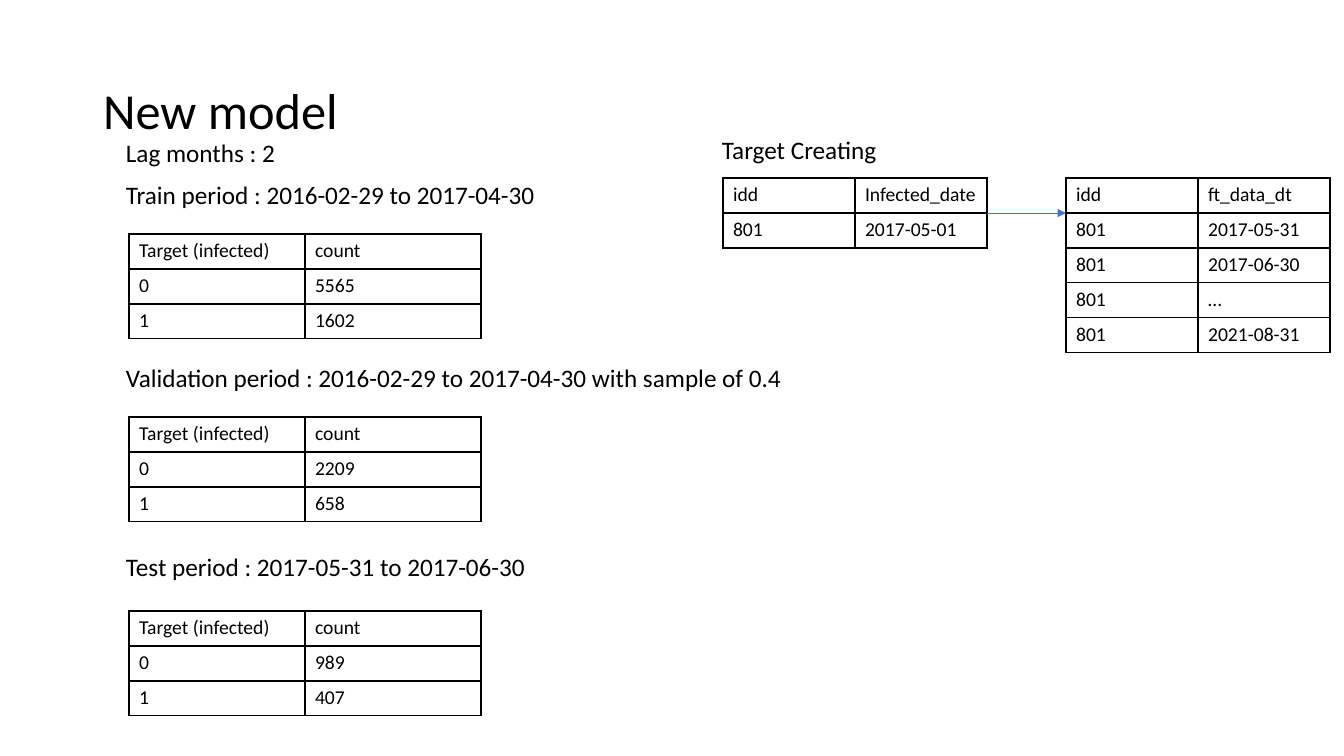
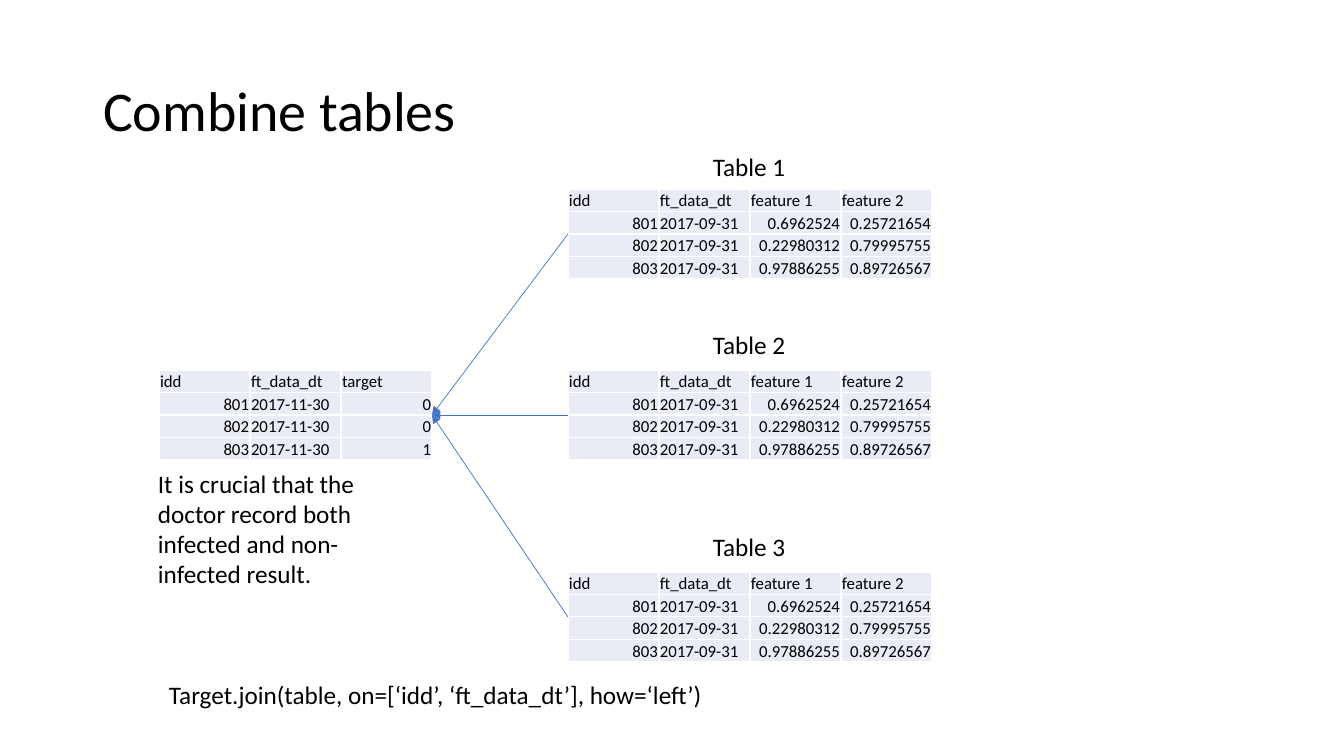
from lxml.etree import SubElement
from pptx import Presentation
from pptx.dml.color import RGBColor
from pptx.enum.shapes import MSO_CONNECTOR as Connector
from pptx.enum.text import MSO_ANCHOR as Anchor, MSO_AUTO_SIZE as AutoSize, PP_ALIGN as Align
from pptx.oxml import parse_xml
from pptx.oxml.ns import nsdecls, qn
from pptx.util import Pt

EMU_PER_PX = 914400 / 100.8
PAGE_SIZE = (1344, 756)
TITLE_BOX = (93, 40, 1159, 146)
TITLE_ONLY = 5
LEFT_SIDE, RIGHT_SIDE = 1, 3
FONT = "Calibri"
BLACK, WHITE, BLUE, PALE = "000000", "FFFFFF", "4472C4", "E9EBF5"


def px(length):
    return round(length * EMU_PER_PX)


def color(hex_code):
    return RGBColor.from_string(hex_code)


def write(frame, text, size=18, align=Align.LEFT, anchor=Anchor.TOP, spacing=None):
    frame.vertical_anchor = anchor
    para = frame.paragraphs[0]
    para.alignment = align
    if spacing:
        para.line_spacing = spacing
    span = para.add_run()
    span.text = text
    span.font.name = FONT
    span.font.size = Pt(size)
    span.font.color.rgb = color(BLACK)


def title_page(deck, text, size):
    page = deck.slides.add_slide(deck.slide_layouts[TITLE_ONLY])
    title = page.shapes.title
    title.left, title.top, title.width, title.height = map(px, TITLE_BOX)
    title.text_frame.auto_size = AutoSize.NONE
    write(title.text_frame, text, size, anchor=Anchor.MIDDLE, spacing=0.9)
    return page


def label(page, box, text, wrap=False):
    frame = page.shapes.add_textbox(*map(px, box)).text_frame
    frame.word_wrap = wrap
    write(frame, text)


def set_borders(cell, hex_code):
    properties = cell._tc.get_or_add_tcPr()
    for index, side in enumerate(("lnL", "lnR", "lnT", "lnB")):
        properties.insert(index, parse_xml(
            f'<a:{side} {nsdecls("a")} w="{Pt(1)}"><a:solidFill>'
            f'<a:srgbClr val="{hex_code}"/></a:solidFill></a:{side}>'))


def grid(page, box, rows, border, format_cell):
    """Add an evenly divided table; format_cell fills in each cell's look and text."""
    x, y, width, height = box
    holder = page.shapes.add_table(len(rows), len(rows[0]), *map(px, box))
    table = holder.table
    table.first_row = table.horz_banding = False
    for column in table.columns:
        column.width = px(width / len(rows[0]))
    for row, values in zip(table.rows, rows):
        row.height = px(height / len(rows))
        for cell, value in zip(row.cells, values):
            format_cell(cell, value)
            set_borders(cell, border)
    return holder


def outlined_table(page, x, y, column_width, rows):
    def format_cell(cell, value):
        cell.fill.background()
        write(cell.text_frame, value, 14)

    box = (x, y, column_width * len(rows[0]), 35 * len(rows))
    return grid(page, box, rows, BLACK, format_cell)


def shaded_table(page, x, y, rows):
    """Add a compact table whose numbers stand at the right."""
    def format_cell(cell, value):
        cell.fill.solid()
        cell.fill.fore_color.rgb = color(PALE)
        cell.margin_left = cell.margin_right = cell.margin_top = px(1)
        cell.margin_bottom = 0
        align = Align.LEFT if isinstance(value, str) else Align.RIGHT
        write(cell.text_frame, str(value), 12, align, Anchor.BOTTOM)
        cell.vertical_anchor = Anchor.BOTTOM

    return grid(page, (x, y, 91 * len(rows[0]), 90), rows, WHITE, format_cell)


def arrow(page, start, start_side, end=None, end_side=None, end_point=(0, 0)):
    """Join start to end, or to end_point where there is no end shape."""
    line = page.shapes.add_connector(Connector.STRAIGHT, 0, 0, *map(px, end_point))
    line.begin_connect(start, start_side)
    if end is not None:
        line.end_connect(end, end_side)
    line.line.color.rgb = color(BLUE)
    line.line.width = Pt(0.5)
    SubElement(line.line._get_or_add_ln(), qn("a:tailEnd"), type="triangle")
    SubElement(line._element.spPr, qn("a:effectLst"))


def period_block(page, caption_y, caption_width, caption, table_y, counts):
    label(page, (116, caption_y, caption_width, 40), caption)
    rows = [("Target (infected)", "count"), *zip("01", counts)]
    outlined_table(page, 129, table_y, 176, rows)


def target_creation(page, x, y):
    label(page, (x, y, 176, 40), "Target Creating")
    table_y = y + 49
    infected = outlined_table(page, x + 11, table_y, 132, [
        ("idd", "Infected_date"), ("801", "2017-05-01")])
    dates = ("2017-05-31", "2017-06-30", "…", "2021-08-31")
    outlined_table(page, x + 354, table_y, 132,
                   [("idd", "ft_data_dt"), *(("801", date) for date in dates)])
    arrow(page, infected, RIGHT_SIDE, end_point=(x + 354, table_y + 35))


def model_page(deck):
    page = title_page(deck, "New model", 36)
    label(page, (116, 132, 171, 40), "Lag months : 2")
    period_block(page, 174, 433, "Train period : 2016-02-29 to 2017-04-30",
                 234, ("5565", "1602"))
    period_block(page, 357, 683,
                 "Validation period : 2016-02-29 to 2017-04-30 with sample of 0.4",
                 417, ("2209", "658"))
    period_block(page, 546, 424, "Test period : 2017-05-31 to 2017-06-30",
                 611, ("989", "407"))
    target_creation(page, 712, 129)


def combine_page(deck):
    page = title_page(deck, "Combine tables", 40)
    target = shaded_table(page, 159, 370, [
        ("idd", "ft_data_dt", "target"),
        *((idd, "2017-11-30", infected)
          for idd, infected in ((801, 0), (802, 0), (803, 1)))])
    features = [
        ("idd", "ft_data_dt", "feature 1", "feature 2"),
        (801, "2017-09-31", 0.6962524, 0.25721654),
        (802, "2017-09-31", 0.22980312, 0.79995755),
        (803, "2017-09-31", 0.97886255, 0.89726567)]
    for number, (caption_y, table_y) in enumerate(((146, 189), (324, 370), (526, 572)), 1):
        label(page, (703, caption_y, 94, 40), f"Table {number}")
        table = shaded_table(page, 568, table_y, features)
        arrow(page, table, LEFT_SIDE, target, RIGHT_SIDE)
    label(page, (148, 463, 283, 132),
          "It is crucial that the doctor record both infected and non-infected result.",
          wrap=True)
    label(page, (159, 674, 658, 40),
          "Target.join(table, on=[‘idd’, ‘ft_data_dt’], how=‘left’)", wrap=True)


def main():
    deck = Presentation()
    deck.slide_width, deck.slide_height = map(px, PAGE_SIZE)
    model_page(deck)
    combine_page(deck)
    deck.save("out.pptx")


if __name__ == "__main__":
    main()
